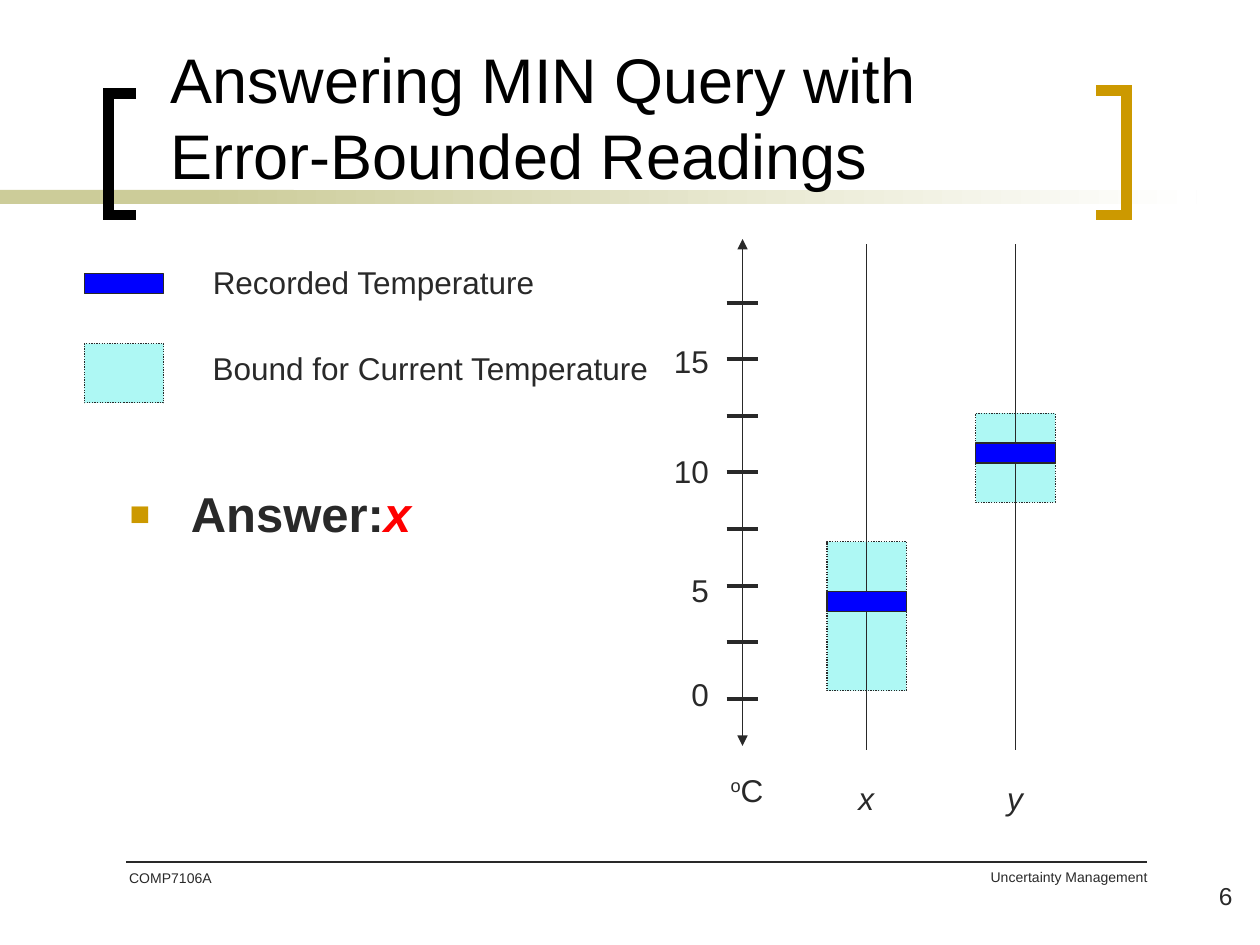
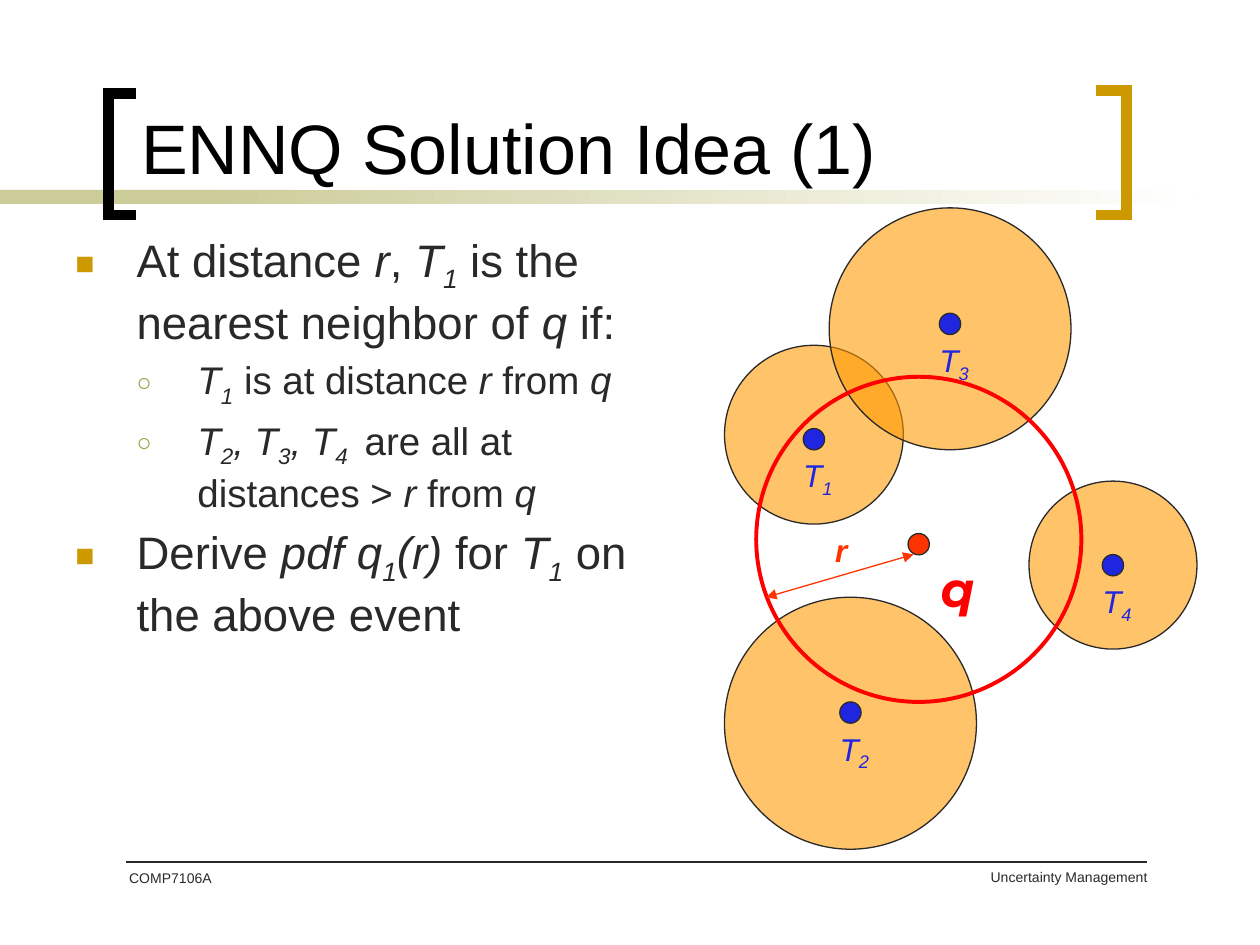
from pptx import Presentation
from pptx.dml.color import RGBColor
from pptx.enum.dml import MSO_LINE
from pptx.enum.shapes import MSO_CONNECTOR, MSO_SHAPE
from pptx.enum.text import MSO_ANCHOR, MSO_AUTO_SIZE, PP_ALIGN
from pptx.oxml.ns import qn
from pptx.util import Pt
from lxml import etree

RECT, OVAL = MSO_SHAPE.RECTANGLE, MSO_SHAPE.OVAL
LEFT, MID, RIGHT = PP_ALIGN.LEFT, PP_ALIGN.CENTER, PP_ALIGN.RIGHT
FIT, FIXED = MSO_AUTO_SIZE.SHAPE_TO_FIT_TEXT, MSO_AUTO_SIZE.NONE
DOTS = MSO_LINE.ROUND_DOT

INK, BLACK, RED, GOLD = "292929", "000000", "FF0000", "CC9900"
OLIVE, SAND, WHITE = "999933", "CCCC99", "FFFFFF"
AQUA, BLUE = "AEF8F4", "0000FF"
AMBER, NAVY, CORAL = "FF9900", "2025E0", "FF3300"

# Shared content
COURSE, TOPIC = "COMP7106A", "Uncertainty Management"
BRACKETS = [  # tip x, spine x, top, bottom, colour
    (77.8, 61.9, 53.5, 122.9, BLACK),
    (626.4, 643.7, 51.8, 122.9, GOLD),
]

# Slide 1 content; runs are (text, flags, colour), flags: b, i, _ sub, ^ super
MIN_TITLE = ["Answering MIN Query with ", "Error-Bounded Readings"]
ANSWER = [(0, [("Answer:", "b"), ("x", "bi", RED)])]
LEGEND = [("Recorded Temperature", 146.9, 206), ("Bound for Current Temperature", 195.8, 266)]
MARKS = [("15", 378, 192.2), ("10", 378, 254.9), ("5", 388, 322.6), ("0", 388, 382.3)]
SENSORS = [  # name, centre x, bound top, bound height, reading top
    ("x", 495.3, 309.6, 85, 338),
    ("y", 580.3, 236.1, 51, 253.2),
]

# Slide 2 content
IDEA_TITLE = ["ENNQ Solution Idea (1)"]
IDEA = [  # level, runs
    (0, [("At distance ", ""), ("r", "i"), (", ", ""), ("T", "i"), ("1", "i_"),
         (" is the nearest neighbor of ", ""), ("q", "i"), (" if:", "")]),
    (1, [("T", "i"), ("1", "i_"), (" is at distance ", ""), ("r", "i"),
         (" from ", ""), ("q", "i")]),
    (1, [("T", "i"), ("2", "i_"), (", T", "i"), ("3", "i_"), (", T", "i"),
         ("4 ", "i_"), (" are all at distances > ", ""), ("r ", "i"),
         ("from ", ""), ("q", "i")]),
    (0, [("Derive ", ""), ("pdf q", "i"), ("1", "i_"), ("(r) ", "i"), ("for ", ""),
         ("T", "i"), ("1", "i_"), (" on the above event", "")]),
]
REGIONS = [  # number, centre x, centre y, radius, dot y
    ("1", 465.1, 248.4, 51.1, 251),
    ("2", 486, 413.3, 72, 407.2),
    ("3", 542.9, 187.9, 69.1, 185.1),
    ("4", 636, 322.9, 48, 323),
]
QUERY = (525, 308.2, 92.9, 311)

BULLETS = [  # sign, colour, size %, left, hang
    ("■", GOLD, 70, 35, 35),
    ("○", OLIVE, 65, 69.8, 34.8),
]


def rgb(code):
    return RGBColor.from_string(code)


def sub(node, tag, **attrs):
    return etree.SubElement(node, qn("a:" + tag), attrs)


def box(slide, kind, x, y, w, h, fill=None, line=INK, width=0.75, dash=None, alpha=None):
    shape = slide.shapes.add_shape(kind, Pt(x), Pt(y), Pt(w), Pt(h))
    shape.shadow.inherit = False
    if fill:
        shape.fill.solid()
        shape.fill.fore_color.rgb = rgb(fill)
    else:
        shape.fill.background()
    if alpha:
        tint = shape.element.spPr.find(".//" + qn("a:srgbClr"))
        sub(tint, "alpha", val=str(alpha * 1000))
    if line:
        shape.line.color.rgb = rgb(line)
        shape.line.width = Pt(width)
        if dash:
            shape.line.dash_style = dash
    else:
        shape.line.fill.background()
    return shape


def disc(slide, x, y, radius, **look):
    return box(slide, OVAL, x - radius, y - radius, 2 * radius, 2 * radius, **look)


def rule(slide, x1, y1, x2, y2, color=INK, width=0.75, arrows=False):
    line = slide.shapes.add_connector(
        MSO_CONNECTOR.STRAIGHT, Pt(x1), Pt(y1), Pt(x2), Pt(y2))
    line.line.color.rgb = rgb(color)
    line.line.width = Pt(width)
    if arrows:
        for end in ("headEnd", "tailEnd"):
            sub(line.line._get_or_add_ln(), end, type="triangle")
    sub(line.element.spPr, "effectLst")


def write(para, runs, size, color=INK, face="Arial"):
    for text, flags, *tint in runs:
        run = para.add_run()
        run.text = text
        font = run.font
        font.name, font.size = face, Pt(size)
        font.bold, font.italic = "b" in flags, "i" in flags
        font.color.rgb = rgb(tint[0] if tint else color)
        for sign, base in (("_", "-25000"), ("^", "30000")):
            if sign in flags:
                run._r.get_or_add_rPr().set("baseline", base)


def label(slide, x, y, w, h, runs, size=18, align=LEFT, wrap=False, fit=FIT, **look):
    frame = slide.shapes.add_textbox(Pt(x), Pt(y), Pt(w), Pt(h)).text_frame
    frame.word_wrap = wrap
    frame.auto_size = fit
    para = frame.paragraphs[0]
    para.alignment = align
    write(para, runs, size, **look)
    return para


def note(slide, x, y, w, text, size, align=LEFT):
    label(slide, x, y, w, 36, [(text, "")], size, align, wrap=True, fit=FIXED)


def outline(slide, x, y, w, h, items, sizes):
    frame = slide.shapes.add_textbox(Pt(x), Pt(y), Pt(w), Pt(h)).text_frame
    frame.word_wrap = True
    for i, (level, runs) in enumerate(items):
        para = frame.add_paragraph() if i else frame.paragraphs[0]
        sign, color, scale, left, hang = BULLETS[level]
        props = para._p.get_or_add_pPr()
        props.set("marL", str(Pt(left)))
        props.set("indent", str(-Pt(hang)))
        sub(sub(props, "buClr"), "srgbClr", val=color)
        sub(props, "buSzPct", val=str(scale * 1000))
        sub(props, "buFont", typeface="Arial")
        sub(props, "buChar", char=sign)
        para.level = level
        if i:
            para.space_before = Pt(0.2 * sizes[level])
        write(para, runs, sizes[level])


def start(deck, lines, size, x, y, w, h):
    """Add a slide with the shared band, brackets, footer and title."""
    slide = deck.slides.add_slide(deck.slide_layouts[5])

    # Band
    box(slide, RECT, 0, 108.6, 167.8, 8, SAND, None)
    fade = box(slide, RECT, 113.8, 108.6, 570, 8, SAND, None).fill
    fade.gradient()
    fade.gradient_angle = 0
    for stop, color in zip(fade.gradient_stops, (SAND, WHITE)):
        stop.color.rgb = rgb(color)

    # Brackets
    for tip, spine, top, low, color in BRACKETS:
        pen = slide.shapes.build_freeform(Pt(tip), Pt(top))
        pen.add_line_segments(
            [(Pt(spine), Pt(top)), (Pt(spine), Pt(low)), (Pt(tip), Pt(low))], close=False)
        shape = pen.convert_to_shape()
        shape.shadow.inherit = False
        shape.fill.background()
        shape.line.color.rgb = rgb(color)
        shape.line.width = Pt(6)
        sub(shape.line._get_or_add_ln(), "miter", lim="800000")

    # Footer
    note(slide, 365, 492.5, 298, TOPIC, 8, RIGHT)
    rule(slide, 72, 492.5, 655.2, 492.5, width=1)
    note(slide, 66.7, 493.5, 84.2, COURSE, 8)

    # Title, brought in front of the band
    title = slide.shapes.title
    slide.shapes.element.append(title.element)
    title.left, title.top, title.width, title.height = Pt(x), Pt(y), Pt(w), Pt(h)
    frame = title.text_frame
    frame.auto_size = FIXED
    frame.word_wrap = True
    frame.vertical_anchor = MSO_ANCHOR.BOTTOM
    para = frame.paragraphs[0]
    para.alignment = LEFT
    for i, text in enumerate(lines):
        if i:
            para.add_line_break()
        write(para, [(text, "")], size, BLACK)
    return slide


def min_query(deck):
    slide = start(deck, MIN_TITLE, 36, 90, 38.2, 648, 75)
    note(slide, 657.4, 499.7, 54, "6", 14, RIGHT)
    outline(slide, 67, 273, 296, 63, ANSWER, (28, 24))
    wide, thick = 45.4, 11.4

    # Legend
    box(slide, RECT, 48.2, 156.5, wide, thick, BLUE)
    box(slide, RECT, 48.2, 196.4, wide, 33.8, AQUA, dash=DOTS)
    for text, top, width in LEGEND:
        label(slide, 114.5, top, width, 28.8, [(text, "")])

    # Temperature axis
    rule(slide, 424.3, 136.6, 424.3, 426.2, arrows=True)
    for i in range(8):
        y = 172.9 + 32.35 * i
        rule(slide, 415.2, y, 433.2, y, width=2.25)
    for text, left, top in MARKS:
        label(slide, left, top, 413 - left, 28.8, [(text, "")])
    label(slide, 410.4, 437, 33.8, 28.8, [("o", "^"), ("C", "")])

    # Sensors
    for name, x, top, tall, reading in SENSORS:
        left = x - wide / 2
        box(slide, RECT, left, top, wide, tall, AQUA, dash=DOTS)
        rule(slide, x, 139.6, x, 428.6)
        box(slide, RECT, left, reading, wide, thick, BLUE)
        label(slide, x - 11.8, 441.4, 23.8, 28.8, [(name, "i")])


def nearest(deck):
    slide = start(deck, IDEA_TITLE, 40, 73.4, 0, 563.8, 111.6)
    outline(slide, 36, 129, 355, 356, IDEA, (26, 22))
    dot = 6.1

    # Uncertain regions
    for num, x, y, radius, mid in REGIONS:
        disc(slide, x, y, radius, fill=AMBER, alpha=59)
        disc(slide, x, mid, dot, fill=NAVY)
        label(slide, x - 13.2, mid + 6.2, 36, 28.8, [("T", "i"), (num, "i_")], color=NAVY)

    # Query point and its range
    x, y, radius, mid = QUERY
    disc(slide, x, mid, dot, fill=CORAL)
    disc(slide, x, y, radius, line=RED, width=2.25)
    rule(slide, 437.8, 341.3, 522, 316.8, CORAL, arrows=True)
    label(slide, 470.2, 300.2, 21.6, 28.8, [("r", "bi")], color=CORAL)
    name = label(slide, 534.2, 315.4, 26, 26, [("q", "bi")], 28, MID,
                 fit=FIXED, color=RED, face="Montserrat")
    name.runs[0]._r.get_or_add_rPr().set("spc", "560")


def main():
    deck = Presentation()
    deck.slide_width, deck.slide_height = Pt(720), Pt(540)
    min_query(deck)
    nearest(deck)
    deck.save("out.pptx")


if __name__ == "__main__":
    main()
